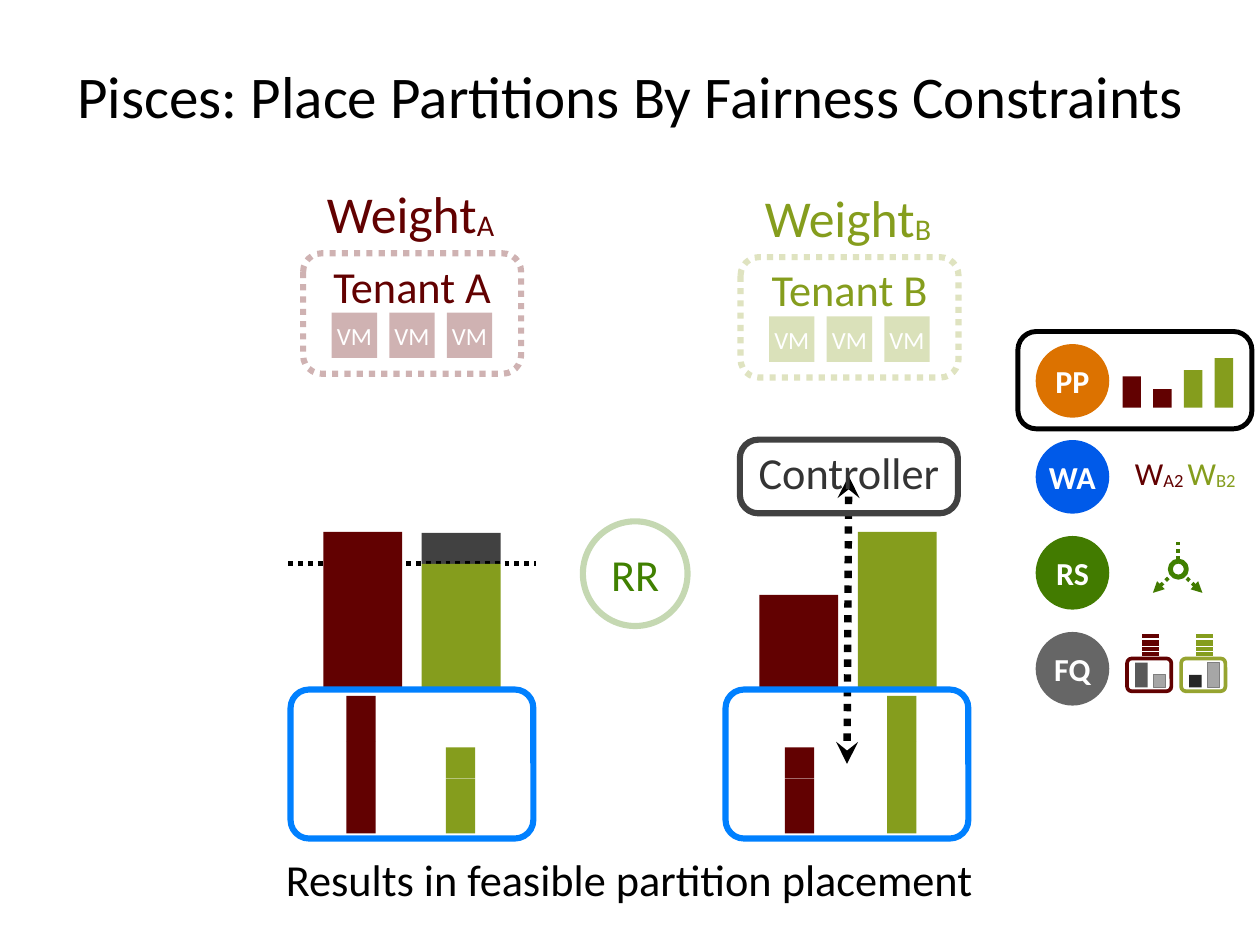
from dataclasses import dataclass

from lxml.etree import SubElement
from pptx import Presentation
from pptx.dml.color import RGBColor
from pptx.enum.dml import MSO_LINE
from pptx.enum.shapes import MSO_CONNECTOR, MSO_SHAPE
from pptx.enum.text import MSO_ANCHOR, MSO_AUTO_SIZE, PP_ALIGN
from pptx.oxml.ns import qn
from pptx.util import Cm, Pt


@dataclass(frozen=True)
class Theme:
    font: str = "Calibri"
    black: str = "000000"
    white: str = "FFFFFF"
    red: str = "620101"
    green: str = "859D1D"
    green_edge: str = "96A430"
    charcoal: str = "414141"
    controller_text: str = "343434"
    node_blue: str = "0080FF"
    orange: str = "DC7200"
    blue: str = "005AE9"
    forest: str = "427B00"
    router_green: str = "408000"
    gray: str = "666666"
    dark_bar: str = "595959"
    darkest_bar: str = "262626"
    light_bar: str = "A6A6A6"
    light_bar_edge: str = "7F7F7F"
    title_size: int = 48
    weight_size: int = 42
    body_size: int = 36
    icon_size: int = 26
    vm_size: int = 20


THEME = Theme()
LEGEND_LEFT, LEGEND_TOP, LEGEND_PITCH, ICON_DIAMETER = 29.69, 9.86, 2.75, 2.11


def fade(properties):
    """Make the first colour inside the element 30 % opaque."""
    color = next(properties.iter(qn("a:srgbClr")))
    SubElement(color, qn("a:alpha")).set("val", "30000")


def write(shape, pieces, size, bold=False, anchor=MSO_ANCHOR.MIDDLE):
    """Write centred pieces, each given as (text, color, is_subscript)."""
    frame = shape.text_frame
    frame.margin_left = frame.margin_right = frame.margin_top = frame.margin_bottom = 0
    frame.vertical_anchor = anchor
    paragraph = frame.paragraphs[0]
    paragraph.alignment = PP_ALIGN.CENTER
    for text, color, is_subscript in pieces:
        run = paragraph.add_run()
        run.text = text
        run.font.name = THEME.font
        run.font.size = Pt(size)
        run.font.bold = bold
        run.font.color.rgb = RGBColor.from_string(color)
        if is_subscript:
            run.font._element.set("baseline", "-6000")


def add_label(slide, left, top, width, height, pieces, size, wrap=False):
    box = slide.shapes.add_textbox(Cm(left), Cm(top), Cm(width), Cm(height))
    write(box, pieces, size)
    box.text_frame.word_wrap = wrap
    if not wrap:
        box.text_frame.auto_size = MSO_AUTO_SIZE.SHAPE_TO_FIT_TEXT


def add_figure(slide, kind, left, top, width, height, fill=None, line=None,
               weight=0, corner=None, faded=False, dotted=False):
    shape = slide.shapes.add_shape(kind, Cm(left), Cm(top), Cm(width), Cm(height))
    shape.shadow.inherit = False
    if corner is not None:
        shape.adjustments[0] = corner
    if fill:
        shape.fill.solid()
        shape.fill.fore_color.rgb = RGBColor.from_string(fill)
        if faded:
            fade(shape._element.spPr)
    else:
        shape.fill.background()
    if line:
        shape.line.color.rgb = RGBColor.from_string(line)
        shape.line.width = Pt(weight)
        if faded:
            fade(shape.line._get_or_add_ln())
        if dotted:
            shape.line.dash_style = MSO_LINE.ROUND_DOT
    else:
        shape.line.fill.background()
    return shape


def add_bar(slide, left, bottom, width, height, fill, **style):
    return add_figure(slide, MSO_SHAPE.RECTANGLE, left, bottom - height, width, height,
                      fill, **style)


def add_frame(slide, left, top, width, height, line, weight, corner, **style):
    return add_figure(slide, MSO_SHAPE.ROUNDED_RECTANGLE, left, top, width, height,
                      line=line, weight=weight, corner=corner, **style)


def add_dotted_line(slide, start, end, color, weight, head=None, tail=None):
    points = [Cm(value) for value in (*start, *end)]
    connector = slide.shapes.add_connector(MSO_CONNECTOR.STRAIGHT, *points)
    connector.line.color.rgb = RGBColor.from_string(color)
    connector.line.width = Pt(weight)
    connector.line.dash_style = MSO_LINE.ROUND_DOT
    outline = connector.line._get_or_add_ln()
    for tag, arrow in (("a:headEnd", head), ("a:tailEnd", tail)):
        if arrow:
            SubElement(outline, qn(tag)).set("type", arrow)
    SubElement(connector._element.spPr, qn("a:effectLst"))


def add_tenant(slide, left, top, name, color, edge):
    box = add_frame(slide, left, top, 6.25, 3.45, edge, 5, 0.153,
                    fill=THEME.white, faded=True, dotted=True)
    write(box, [(f"Tenant {name}", color, False)], THEME.body_size, anchor=MSO_ANCHOR.TOP)
    for index in range(3):
        machine = add_bar(slide, left + 0.82 + 1.65 * index, top + 3, 1.3, 1.3, color, faded=True)
        write(machine, [("VM", THEME.white, False)], THEME.vm_size)
    add_label(slide, left + 0.23, top - 2.05, 5.89, 1.78,
              [("Weight", color, False), (f"{name} ", color, True)], THEME.weight_size)


def add_demand(slide, left, red_height, green_height):
    """Draw the wide bars that stand on a node."""
    add_bar(slide, left, 19.69, 2.26, red_height, THEME.red)
    add_bar(slide, left + 2.82, 19.69, 2.26, green_height, THEME.green)


def add_partition(slide, left, segment_heights, color):
    bottom = 23.88
    for height in segment_heights:
        add_bar(slide, left, bottom, 0.84, height, color)
        bottom -= height


def add_node(slide, left):
    add_frame(slide, left, 19.76, 6.96, 4.27, THEME.node_blue, 5, 0.124)


def add_legend_icons(slide):
    icons = (("PP", THEME.orange), ("WA", THEME.blue), ("RS", THEME.forest), ("FQ", THEME.gray))
    for row, (name, color) in enumerate(icons):
        icon = add_figure(slide, MSO_SHAPE.OVAL, LEGEND_LEFT, LEGEND_TOP + LEGEND_PITCH * row,
                          ICON_DIAMETER, ICON_DIAMETER, color)
        write(icon, [(name, THEME.white, False)], THEME.icon_size, bold=True)


def add_placement_legend(slide):
    bars = ((0.89, THEME.red), (0.53, THEME.red), (1.07, THEME.green), (1.42, THEME.green))
    for index, (height, color) in enumerate(bars):
        add_bar(slide, 32.18 + 0.88 * index, 11.68, 0.53, height, color)
    add_frame(slide, 29.18, 9.5, 6.71, 2.79, THEME.black, 4, 0.19)


def add_weight_legend(slide):
    pieces = [("W", THEME.red, False), ("A2 ", THEME.red, True),
              ("W", THEME.green, False), ("B2", THEME.green, True)]
    add_label(slide, 32.36, 13, 3.23, 1.09, pieces, THEME.icon_size)


def add_replica_legend(slide):
    add_figure(slide, MSO_SHAPE.OVAL, 33.55, 16.08, 0.46, 0.46, THEME.white,
               line=THEME.router_green, weight=4)
    for outer, inner in ((33.05, 33.55), (34.47, 33.96)):
        add_dotted_line(slide, (outer, 16.99), (inner, 16.51), THEME.forest, 3, head="triangle")
    add_dotted_line(slide, (33.76, 16.05), (33.76, 15.52), THEME.forest, 3)


def add_queue_legend(slide, left, color, edge, dark_bar, dark_height, light_height):
    for top, height in ((18.14, 0.71), (18.31, 0.51), (18.52, 0.15)):
        add_bar(slide, left + 0.41, top + height, 0.53, height, color, line=THEME.white, weight=1)
    add_bar(slide, left + 0.23, 19.7, 0.36, dark_height, dark_bar)
    add_bar(slide, left + 0.75, 19.7, 0.36, light_height, THEME.light_bar,
            line=THEME.light_bar_edge, weight=0.75)
    add_frame(slide, left, 18.87, 1.27, 0.94, edge, 3, 0.146)


def main():
    presentation = Presentation()
    presentation.slide_width, presentation.slide_height = Cm(36.12), Cm(27.08)
    slide = presentation.slides.add_slide(presentation.slide_layouts[6])

    add_label(slide, 0.79, 0.97, 34.57, 3.48,
              [("Pisces: Place Partitions By Fairness Constraints", THEME.black, False)],
              THEME.title_size, wrap=True)
    add_tenant(slide, 8.69, 7.26, "A", THEME.red, THEME.red)
    add_tenant(slide, 21.23, 7.37, "B", THEME.green, THEME.green_edge)

    add_bar(slide, 12.09, 16.16, 2.26, 0.89, THEME.charcoal)
    add_dotted_line(slide, (8.26, 16.15), (15.37, 16.15), THEME.black, 4)
    add_demand(slide, 9.27, 4.45, 3.53)
    add_demand(slide, 21.77, 2.64, 4.45)
    tall, short = (2.64, 1.3), (1.57, 0.89)
    add_partition(slide, 9.93, tall, THEME.red)
    add_partition(slide, 12.78, short, THEME.green)
    add_partition(slide, 22.5, short, THEME.red)
    add_partition(slide, 25.43, tall, THEME.green)
    add_node(slide, 8.33)

    router = add_figure(slide, MSO_SHAPE.OVAL, 16.71, 14.94, 3, 3, THEME.white,
                        line=THEME.router_green, weight=5, faded=True)
    write(router, [("RR", THEME.router_green, False)], THEME.body_size)
    add_dotted_line(slide, (24.33, 13.64), (24.28, 21.89), THEME.black, 6, "stealth", "stealth")
    add_node(slide, 20.8)
    controller = add_frame(slide, 21.21, 12.6, 6.25, 2.11, THEME.charcoal, 5, 0.25)
    write(controller, [("Controller", THEME.controller_text, False)], THEME.body_size,
          anchor=MSO_ANCHOR.TOP)

    add_legend_icons(slide)
    add_placement_legend(slide)
    add_weight_legend(slide)
    add_replica_legend(slide)
    add_queue_legend(slide, 32.31, THEME.red, THEME.red, THEME.dark_bar, 0.71, 0.36)
    add_queue_legend(slide, 33.86, THEME.green, THEME.green_edge, THEME.darkest_bar, 0.36, 0.71)
    add_label(slide, 6.65, 24.43, 22.78, 1.52,
              [("Results in feasible partition placement", THEME.black, False)], THEME.body_size)
    presentation.save("out.pptx")


if __name__ == "__main__":
    main()
